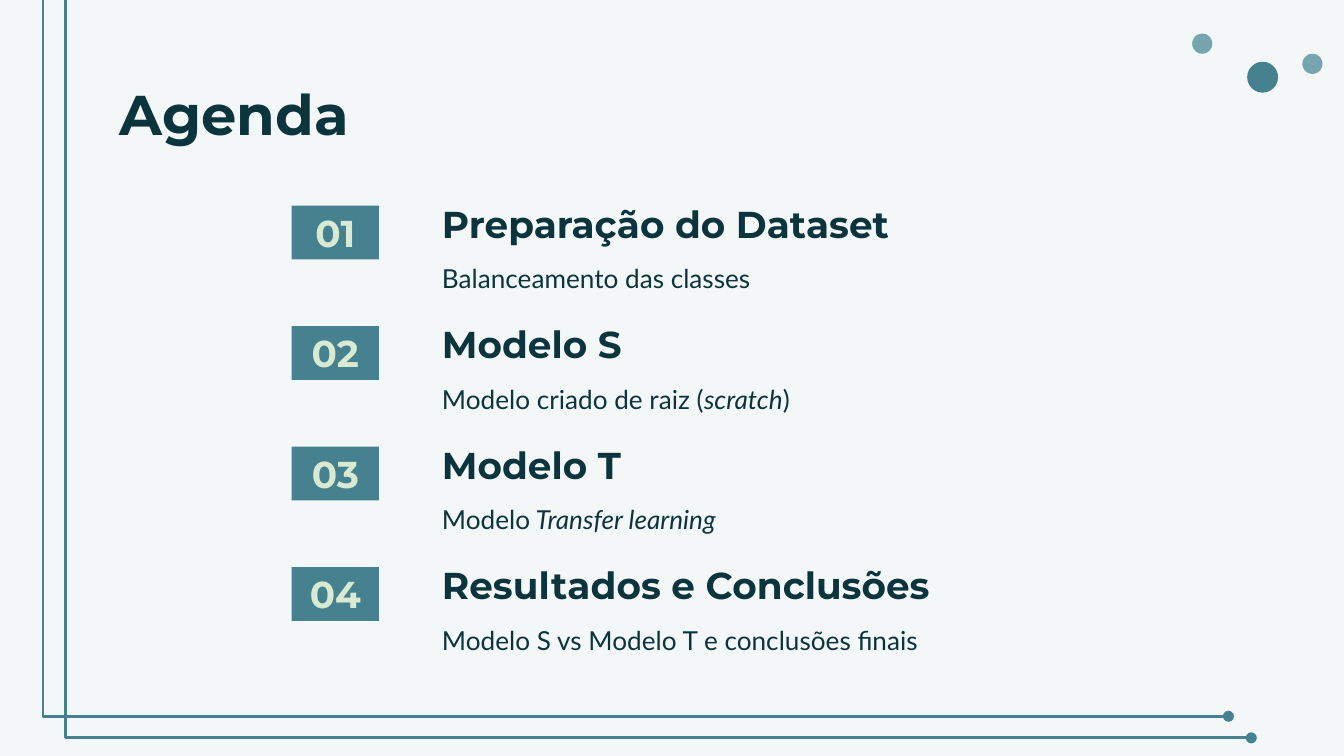
from lxml import etree
from pptx import Presentation
from pptx.dml.color import RGBColor
from pptx.enum.shapes import MSO_CONNECTOR, MSO_SHAPE
from pptx.enum.text import MSO_ANCHOR, MSO_AUTO_SIZE, PP_ALIGN
from pptx.oxml.ns import qn
from pptx.util import Inches, Pt

RECTANGLE, OVAL = MSO_SHAPE.RECTANGLE, MSO_SHAPE.OVAL
ELBOW = MSO_CONNECTOR.ELBOW
TOP, MIDDLE, BOTTOM = MSO_ANCHOR.TOP, MSO_ANCHOR.MIDDLE, MSO_ANCHOR.BOTTOM
LEFT, CENTER = PP_ALIGN.LEFT, PP_ALIGN.CENTER
NO_FIT = MSO_AUTO_SIZE.NONE

PAGE_WIDTH = 10
PAGE_HEIGHT = PAGE_WIDTH * 9 / 16
AGENDA = [
    ("Preparação do Dataset", [("Balanceamento das classes", False)]),
    ("Modelo S", [("Modelo criado de raiz (", False), ("scratch", True), (")", False)]),
    ("Modelo T", [("Modelo", False), (" Transfer learning", True)]),
    ("Resultados e Conclusões", [("Modelo S vs Modelo T e conclusões finais", False)]),
]
FIRST_ROW, LAST_ROW = 1.53, 4.22
ROW_STEP = (LAST_ROW - FIRST_ROW) / (len(AGENDA) - 1)
DETAIL_OFFSET = 0.29


def color(value):
    return RGBColor.from_string(value)


def write(box, text, size=14, font="Lato", ink="0C343D", bold=False,
          anchor=TOP, align=LEFT, spacing=1.0):
    frame = box.text_frame
    frame.word_wrap = True
    frame.auto_size = NO_FIT
    frame.vertical_anchor = anchor
    frame.margin_left = frame.margin_right = Inches(0.1)
    frame.margin_top = frame.margin_bottom = Inches(0.1)
    para = frame.paragraphs[0]
    para.alignment = align
    para.line_spacing = spacing
    para.space_before = Pt(0)
    spans = [(text, False)] if isinstance(text, str) else text
    for words, italic in spans:
        span = para.add_run()
        span.text = words
        span.font.name = font
        span.font.size = Pt(size)
        span.font.bold = bold
        span.font.italic = italic
        span.font.color.rgb = color(ink)


class AgendaPage:
    teal = "45818E"
    light_teal = "76A5AF"
    pale_green = "D9EAD3"
    background = "F3F7F8"
    heading = {"font": "Montserrat", "bold": True}

    def __init__(self, deck):
        self.page = deck.slides.add_slide(deck.slide_layouts[5])
        fill = self.page.background.fill
        fill.solid()
        fill.fore_color.rgb = color(self.background)

    def title(self, text, left, top, width, height):
        box = self.page.shapes.title
        box.left, box.top = Inches(left), Inches(top)
        box.width, box.height = Inches(width), Inches(height)
        write(box, text, size=30, **self.heading)

    def shape(self, kind, left, top, width, height, fill):
        shape = self.page.shapes.add_shape(
            kind, Inches(left), Inches(top), Inches(width), Inches(height))
        shape.shadow.inherit = False
        shape.fill.solid()
        shape.fill.fore_color.rgb = color(fill)
        shape.line.fill.background()
        return shape

    def dot(self, left, top, size, fill):
        self.shape(OVAL, left, top, size, size, fill)

    def badge(self, number, top):
        box = self.shape(RECTANGLE, 2.17, top, 0.65, 0.4, self.teal)
        write(box, f"{number:02d}", size=20, ink=self.pale_green,
              anchor=MIDDLE, align=CENTER, **self.heading)

    def text(self, text, top, **style):
        box = self.page.shapes.add_textbox(
            Inches(3.19), Inches(top), Inches(4.64), Inches(0.4))
        write(box, text, spacing=1.15, **style)

    def corner_line(self, left, right, bottom):
        line = self.page.shapes.add_connector(
            ELBOW, Inches(left), Inches(0), Inches(right), Inches(bottom))
        line.line.color.rgb = color(self.teal)
        line.line.width = Pt(1.5)
        properties = line._element.spPr
        guides = properties.find(qn("a:prstGeom")).find(qn("a:avLst"))
        etree.SubElement(guides, qn("a:gd"), name="adj1", fmla="val 0")
        etree.SubElement(properties.find(qn("a:ln")), qn("a:tailEnd"), type="oval")
        etree.SubElement(properties, qn("a:effectLst"))

    def entry(self, number, name, detail):
        top = FIRST_ROW + (number - 1) * ROW_STEP
        self.badge(number, top)
        self.text(name, top, size=20, anchor=BOTTOM, **self.heading)
        self.text(detail, top + DETAIL_OFFSET)


def main():
    deck = Presentation()
    deck.slide_width, deck.slide_height = Inches(PAGE_WIDTH), Inches(PAGE_HEIGHT)
    agenda = AgendaPage(deck)
    agenda.dot(9.28, 0.46, 0.23, agenda.teal)
    agenda.dot(8.87, 0.25, 0.15, agenda.light_teal)
    agenda.dot(9.69, 0.4, 0.15, agenda.light_teal)
    agenda.corner_line(0.32, 9.14, 5.33)
    agenda.corner_line(0.49, 9.31, 5.49)
    agenda.title("Agenda", 0.79, 0.49, 8.43, 0.63)
    for number, (name, detail) in enumerate(AGENDA, start=1):
        agenda.entry(number, name, detail)
    deck.save("out.pptx")


if __name__ == "__main__":
    main()
